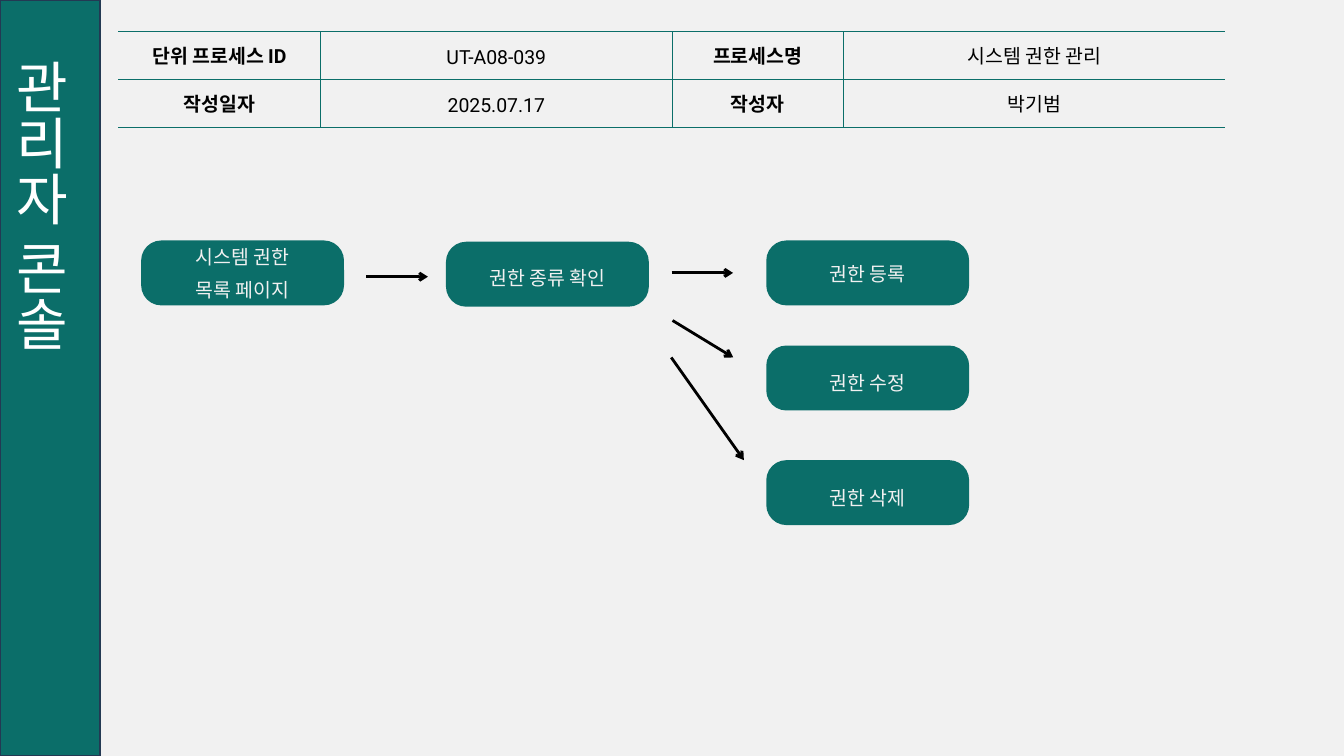
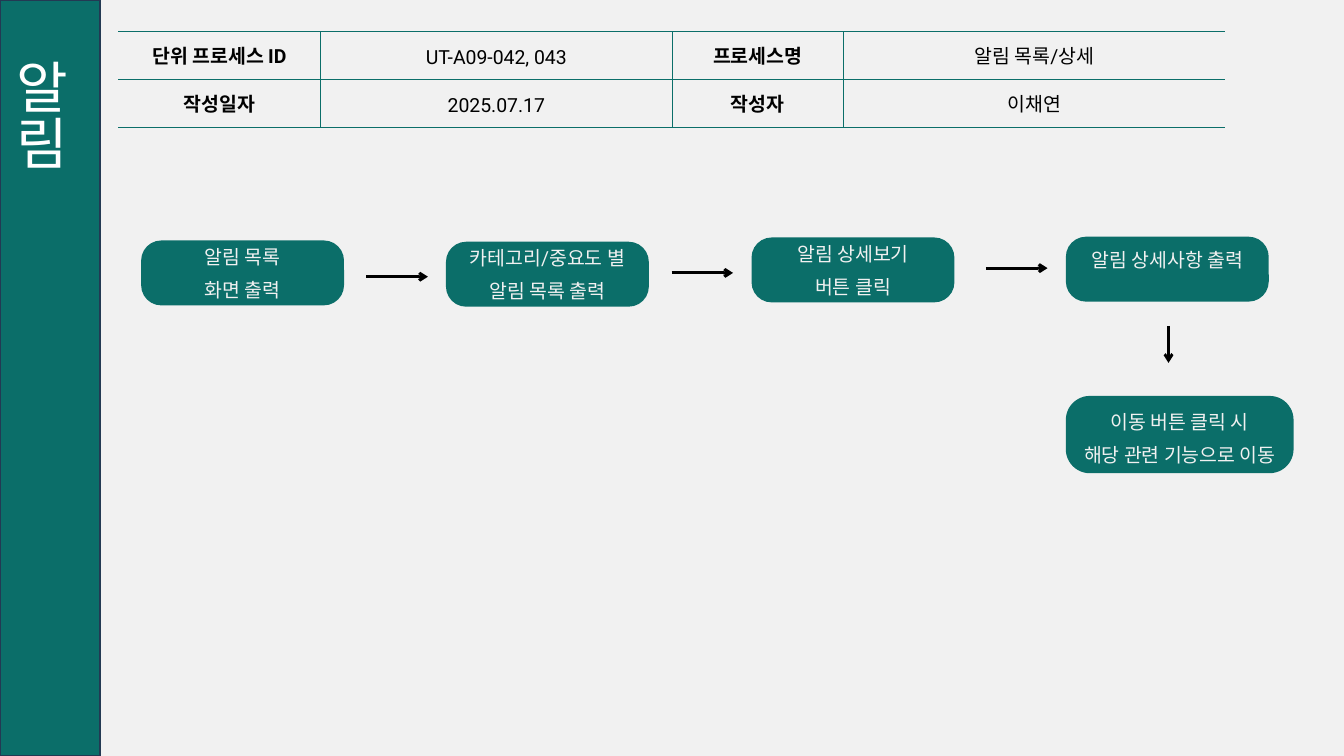
from dataclasses import dataclass

from lxml.etree import SubElement
from pptx import Presentation
from pptx.dml.color import RGBColor
from pptx.enum.shapes import MSO_CONNECTOR as Connector, MSO_SHAPE as Preset
from pptx.enum.text import MSO_ANCHOR as Anchor, MSO_AUTO_SIZE as AutoSize, PP_ALIGN as Align
from pptx.oxml.ns import qn
from pptx.util import Pt


@dataclass(frozen=True)
class Theme:
    background: RGBColor = RGBColor(0xF1, 0xF1, 0xF1)
    teal: RGBColor = RGBColor(0x0B, 0x6E, 0x69)
    navy: RGBColor = RGBColor(0x23, 0x39, 0x53)
    black: RGBColor = RGBColor(0, 0, 0)
    white: RGBColor = RGBColor(0xFF, 0xFF, 0xFF)
    title_font: str = "Calibri"
    body_font: str = "Roboto"
    title_size: float = 60
    body_size: float = 20.8
    table_spacing: float = 29.2
    step_spacing: float = 35.2


THEME = Theme()
SLIDE_WIDTH, SLIDE_HEIGHT = 1440, 810
BAND_WIDTH = 107.3
TITLE_INDENT = 60
TABLE_LEFT, TABLE_TOP, ROW_HEIGHT = 126.8, 34, 51.1
COLUMN_WIDTHS = (216.7, 376.6, 183.6, 409)
STEP_WIDTH, STEP_HEIGHT, STEP_ROUNDING = 217.4, 69.6, 0.31


@dataclass(frozen=True)
class Step:
    """One box of the flow; lift raises its text above the middle."""
    lines: tuple[str, ...]
    left: float
    top: float
    lift: float = 0
    width: float = STEP_WIDTH
    height: float = STEP_HEIGHT


@dataclass(frozen=True)
class Arrow:
    x1: float
    y1: float
    x2: float
    y2: float


@dataclass(frozen=True)
class Process:
    section: str
    process_id: str
    name: str
    date: str
    author: str
    steps: tuple[Step, ...]
    arrows: tuple[Arrow, ...]


FIRST_ARROW = Arrow(392.6, 296.5, 458.5, 296.5)
SECOND_ARROW = Arrow(719.5, 292.4, 785.4, 292.4)

PROCESSES = (
    Process(
        "관리자 콘솔", "UT-A08-039", "시스템 권한 관리", "2025.07.17", "박기범",
        steps=(
            Step(("시스템 권한", "목록 페이지"), 151.2, 257.6, lift=5),
            Step(("권한 종류 확인",), 477.8, 259, lift=1.8),
            Step(("권한 등록",), 821, 257.6, lift=4.3),
            Step(("권한 수정",), 821, 370.2),
            Step(("권한 삭제",), 821, 493),
        ),
        arrows=(
            FIRST_ARROW,
            SECOND_ARROW,
            Arrow(720.6, 343.4, 785.6, 383),
            Arrow(719.2, 383, 797, 493),
        ),
    ),
    Process(
        "알림", "UT-A09-042, 043", "알림 목록/상세", "2025.07.17", "이채연",
        steps=(
            Step(("알림 목록", "화면 출력"), 151.2, 257.6, lift=5),
            Step(("카테고리/중요도 별", "알림 목록 출력"), 477.8, 259, lift=5),
            Step(("알림 상세보기", "버튼 클릭"), 805.2, 254.4, lift=5),
            Step(("알림 상세사항 출력",), 1142, 253.6, lift=15.5),
            Step(("이동 버튼 클릭 시", "해당 관련 기능으로 이동"), 1142, 424.2,
                 lift=1, width=244, height=82.8),
        ),
        arrows=(
            FIRST_ARROW,
            SECOND_ARROW,
            Arrow(1056.4, 287.3, 1122.4, 287.3),
            Arrow(1252, 349.2, 1252, 388.8),
        ),
    ),
)


def style_paragraph(paragraph, color: RGBColor, spacing: float, bold: bool = False) -> None:
    paragraph.alignment = Align.CENTER
    paragraph.line_spacing = Pt(spacing)
    font = paragraph.font
    font.name, font.size, font.bold = THEME.body_font, Pt(THEME.body_size), bold
    font.color.rgb = color


def set_margins(frame, margin: float) -> None:
    frame.margin_left = frame.margin_right = Pt(margin)
    frame.margin_top = frame.margin_bottom = Pt(margin)


def format_title_band(title, section: str) -> None:
    """Turn the title placeholder into the vertical band at the left edge."""
    title.left = title.top = Pt(0)
    title.width, title.height = Pt(BAND_WIDTH), Pt(SLIDE_HEIGHT)
    title.fill.solid()
    title.fill.fore_color.rgb = THEME.teal
    title.line.color.rgb = THEME.navy
    title.line.width = Pt(2)

    frame = title.text_frame
    frame.text = section
    frame.auto_size = AutoSize.NONE
    frame.vertical_anchor = Anchor.BOTTOM
    frame._txBody.bodyPr.set("vert", "eaVert")
    paragraph = frame.paragraphs[0]
    paragraph.alignment = Align.JUSTIFY
    properties = paragraph._p.get_or_add_pPr()
    properties.set("marL", str(Pt(TITLE_INDENT)))
    properties.set("indent", "0")
    font = paragraph.font
    font.name, font.size = THEME.title_font, Pt(THEME.title_size)
    font.color.rgb = THEME.white


def set_borders(cell, open_sides: set[str]) -> None:
    """Rule every side of the cell except the open ones."""
    properties = cell._tc.get_or_add_tcPr()
    for side in "LRTB":
        is_open = side in open_sides
        border = SubElement(properties, qn(f"a:ln{side}"), w=str(0 if is_open else Pt(0.75)))
        if is_open:
            SubElement(border, qn("a:noFill"))
        else:
            fill = SubElement(border, qn("a:solidFill"))
            SubElement(fill, qn("a:srgbClr"), val=str(THEME.teal))


def add_process_table(slide, process: Process) -> None:
    rows = (
        ("단위 프로세스 ID", process.process_id, "프로세스명", process.name),
        ("작성일자", process.date, "작성자", process.author),
    )
    table = slide.shapes.add_table(
        len(rows), len(COLUMN_WIDTHS), Pt(TABLE_LEFT), Pt(TABLE_TOP),
        Pt(sum(COLUMN_WIDTHS)), Pt(ROW_HEIGHT * len(rows))).table
    table.first_row = table.horz_banding = False
    for column, width in zip(table.columns, COLUMN_WIDTHS):
        column.width = Pt(width)
    last = len(COLUMN_WIDTHS) - 1
    for r, values in enumerate(rows):
        table.rows[r].height = Pt(ROW_HEIGHT)
        for c, value in enumerate(values):
            cell = table.cell(r, c)
            cell.text = value
            cell.vertical_anchor = Anchor.MIDDLE
            set_margins(cell, 0.7)
            set_borders(cell, {0: {"L"}, last: {"R"}}.get(c, set()))
            cell.fill.background()
            is_label = c % 2 == 0
            style_paragraph(cell.text_frame.paragraphs[0], THEME.black,
                            THEME.table_spacing, bold=is_label)


def add_step(slide, step: Step) -> None:
    box = slide.shapes.add_shape(Preset.ROUNDED_RECTANGLE, Pt(step.left), Pt(step.top),
                                 Pt(step.width), Pt(step.height))
    box.adjustments[0] = STEP_ROUNDING
    box.shadow.inherit = False
    box.fill.solid()
    box.fill.fore_color.rgb = THEME.teal
    box.line.fill.background()

    frame = box.text_frame
    frame.word_wrap = True
    frame.vertical_anchor = Anchor.MIDDLE
    set_margins(frame, 0)
    frame.margin_bottom = Pt(2 * step.lift)
    frame.text = "\n".join(step.lines)
    for paragraph in frame.paragraphs:
        style_paragraph(paragraph, THEME.background, THEME.step_spacing)


def add_arrow(slide, arrow: Arrow) -> None:
    connector = slide.shapes.add_connector(
        Connector.STRAIGHT, Pt(arrow.x1), Pt(arrow.y1), Pt(arrow.x2), Pt(arrow.y2))
    connector.line.color.rgb = THEME.black
    connector.line.width = Pt(3)
    SubElement(connector.line._get_or_add_ln(), qn("a:tailEnd"), type="arrow")
    SubElement(connector._element.spPr, qn("a:effectLst"))


def add_process_slide(deck, process: Process) -> None:
    title_only = deck.slide_layouts[5]
    slide = deck.slides.add_slide(title_only)
    format_title_band(slide.shapes.title, process.section)
    add_process_table(slide, process)
    for step in process.steps:
        add_step(slide, step)
    for arrow in process.arrows:
        add_arrow(slide, arrow)


def main() -> None:
    deck = Presentation()
    deck.slide_width, deck.slide_height = Pt(SLIDE_WIDTH), Pt(SLIDE_HEIGHT)
    backdrop = deck.slide_master.background.fill
    backdrop.solid()
    backdrop.fore_color.rgb = THEME.background
    for process in PROCESSES:
        add_process_slide(deck, process)
    deck.save("out.pptx")


if __name__ == "__main__":
    main()
